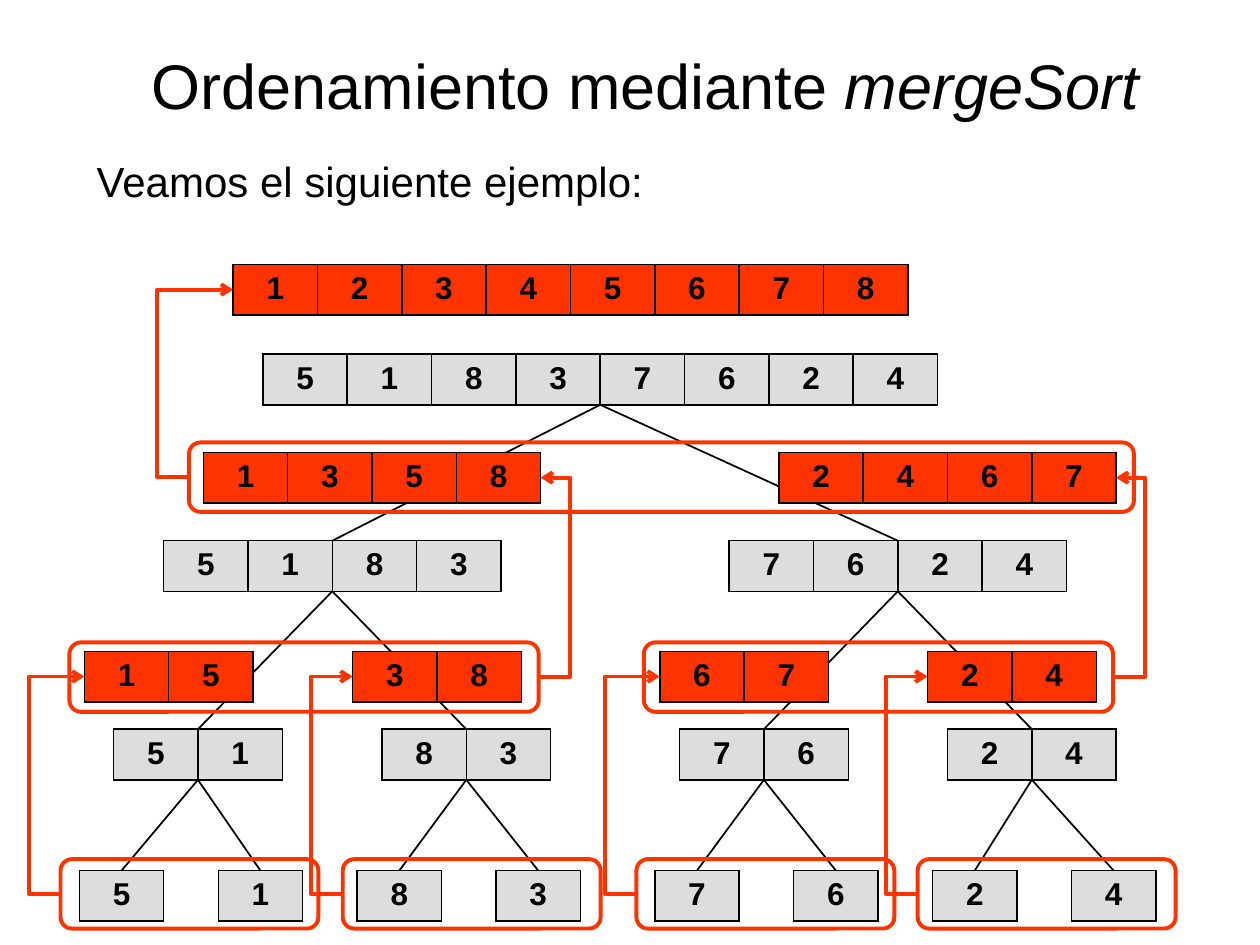
from lxml import etree
from pptx import Presentation
from pptx.dml.color import RGBColor
from pptx.enum.shapes import MSO_CONNECTOR, MSO_SHAPE
from pptx.enum.text import MSO_ANCHOR, PP_ALIGN
from pptx.oxml.ns import qn
from pptx.util import Cm, Pt

LINE, ELBOW = MSO_CONNECTOR.STRAIGHT, MSO_CONNECTOR.ELBOW
ROUND = MSO_SHAPE.ROUNDED_RECTANGLE
TOP, BOTTOM = MSO_ANCHOR.TOP, MSO_ANCHOR.BOTTOM
CENTER, JUSTIFY = PP_ALIGN.CENTER, PP_ALIGN.JUSTIFY

COLORS = {"ink": "000000", "split": "DDDDDD", "merge": "FF3300"}
CELL = 1.7
ROW = 1.02
FRAME = 1.4
BEND = 0.64


class Board:
    font = {"name": "Arial", "size": Pt(18), "bold": False, "italic": False}

    def __init__(self, slide):
        self.slide = slide
        self.shapes = slide.shapes

    def color(self, name):
        return RGBColor.from_string(COLORS[name])

    def label(self, para, text, align, **form):
        para.alignment = align
        run = para.add_run()
        run.text = text
        for key, value in {**self.font, **form}.items():
            setattr(run.font, key, value)
        run.font.color.rgb = self.color("ink")

    def text(self, box, parts, size, align, anchor):
        frame = self.shapes.add_textbox(*map(Cm, box)).text_frame
        frame.word_wrap = True
        frame.vertical_anchor = anchor
        for words, slant in parts:
            self.label(frame.paragraphs[0], words, align, size=Pt(size), italic=slant)

    def border(self, cell):
        props = cell._tc.get_or_add_tcPr()
        for side in ("lnL", "lnR", "lnT", "lnB"):
            line = etree.SubElement(props, qn("a:" + side), w=str(Pt(1)))
            fill = etree.SubElement(line, qn("a:solidFill"))
            etree.SubElement(fill, qn("a:srgbClr"), val=COLORS["ink"])

    def array(self, left, top, items, fill):
        size = len(items)
        box = map(Cm, (left, top, CELL * size, ROW))
        table = self.shapes.add_table(1, size, *box).table
        table.first_row = table.horz_banding = False
        for col, item in enumerate(items):
            table.columns[col].width = Cm(CELL)
            cell = table.cell(0, col)
            self.border(cell)
            cell.fill.solid()
            cell.fill.fore_color.rgb = self.color(fill)
            self.label(cell.text_frame.paragraphs[0], item, CENTER, bold=True)

    def line(self, kind, start, end, color, width):
        link = self.shapes.add_connector(kind, *map(Cm, (*start, *end)))
        link.line.color.rgb = self.color(color)
        link.line.width = Pt(width)
        etree.SubElement(link._element.spPr, qn("a:effectLst"))
        return link

    def arrow(self, start, end, shift):
        props = self.line(ELBOW, start, end, "merge", 2.25)._element.spPr
        etree.SubElement(props.find(qn("a:ln")), qn("a:tailEnd"), type="arrow")
        bend = round(shift / (end[0] - start[0]) * 100000)
        guides = props.find(qn("a:prstGeom")).get_or_add_avLst()
        etree.SubElement(guides, qn("a:gd"), name="adj1", fmla=f"val {bend}")

    def frame(self, left, top, width):
        shape = self.shapes.add_shape(ROUND, *map(Cm, (left, top, width, FRAME)))
        shape.shadow.inherit = False
        shape.fill.background()
        shape.line.color.rgb = self.color("merge")
        shape.line.width = Pt(2.25)


deck = Presentation()
deck.slide_width, deck.slide_height = Cm(25.4), Cm(19.05)
board = Board(deck.slides.add_slide(deck.slide_layouts[6]))

board.text((2.11, 0.53, 21.8, 2.06),
           [("Ordenamiento mediante ", False), ("mergeSort", True)], 36, CENTER, BOTTOM)
board.text((1.7, 3.02, 22.2, 1.7),
           [("Veamos el siguiente ejemplo:", False)], 24, JUSTIFY, TOP)

START = "51837624"
LEVELS = [
    (7.14, [5.3]),
    (10.9, [3.3, 14.7]),
    (14.7, [2.29, 7.7, 13.7, 19.1]),
    (17.55, [base + step for base in (1.6, 7.2, 13.2, 18.8) for step in (0, 2.8)]),
]
for top, lefts in LEVELS:
    size = len(START) // len(lefts)
    for spot, left in enumerate(lefts):
        board.array(left, top, START[spot * size:(spot + 1) * size], "split")

for (top, lefts), (low, kids) in zip(LEVELS, LEVELS[1:]):
    half = CELL * len(START) / len(kids) / 2
    for spot, left in enumerate(kids):
        start = lefts[spot // 2] + half * 2, top + ROW
        board.line(LINE, start, (left + half, low), "ink", 1)

MERGES = [
    (17.32, 5.2, 13.13, -1, [(1.22, 1.7, "15"), (6.91, 7.11, "38"),
                             (12.83, 13.3, "67"), (18.5, 18.7, "24")]),
    (12.95, 9.46, 9.12, 1, [(1.4, 4.1, "1358"), (12.98, 15.7, "2467")]),
    (8.92, 19.05, 5.33, -1, [(3.81, 4.7, "12345678")]),
]
for low, width, top, side, groups in MERGES:
    for edge, left, items in groups:
        board.frame(edge, low, width)
        right = side > 0
        start = edge + width * right, low + FRAME / 2
        end = left + CELL * len(items) * right, top + ROW / 2
        board.arrow(start, end, side * BEND)
        board.array(left, top, items, "merge")

deck.save("out.pptx")
